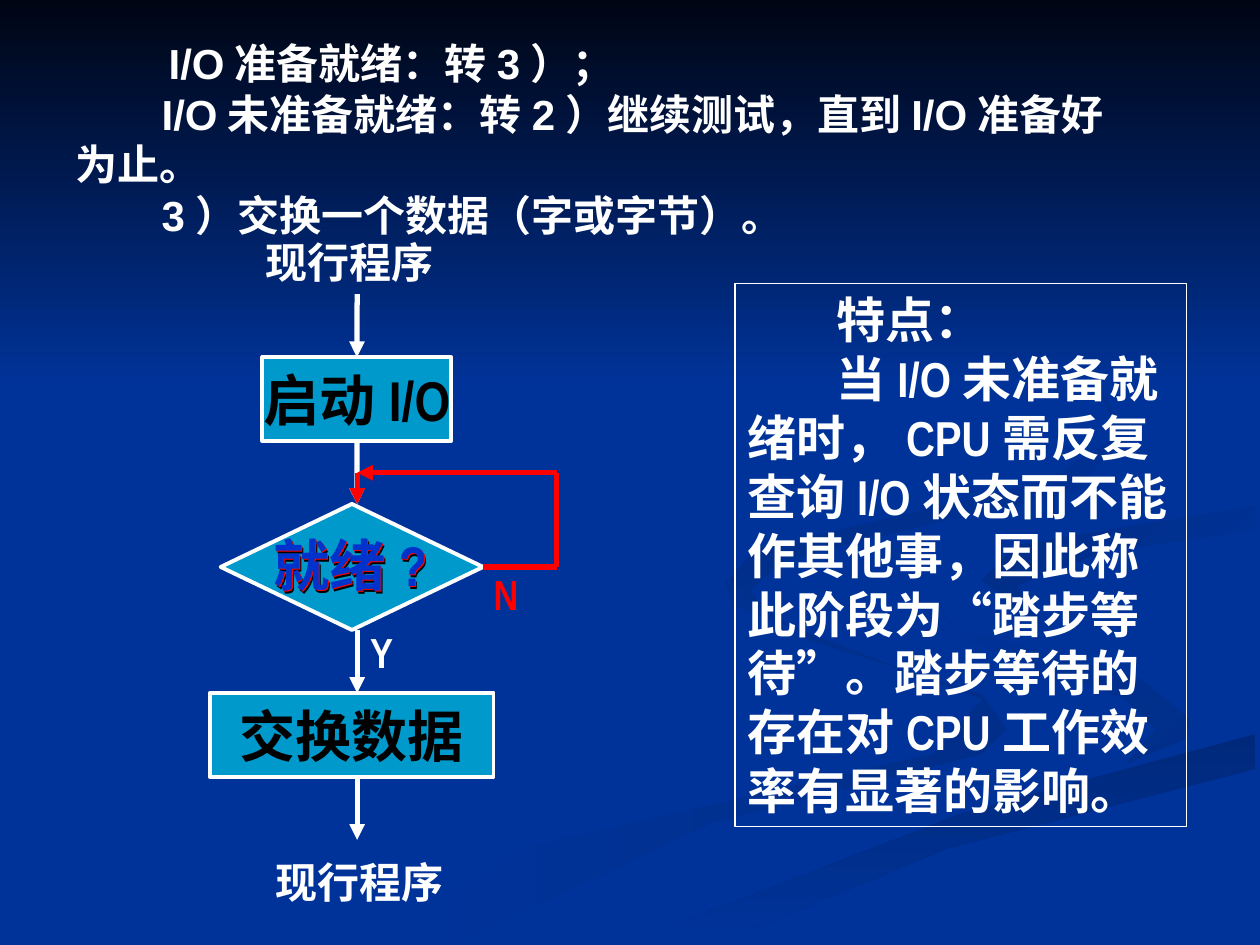
from lxml import etree
from pptx import Presentation
from pptx.dml.color import RGBColor
from pptx.enum.shapes import MSO_CONNECTOR, MSO_SHAPE
from pptx.enum.text import MSO_ANCHOR, PP_ALIGN
from pptx.oxml.ns import qn
from pptx.util import Cm, Pt

WHITE = RGBColor(0xFF, 0xFF, 0xFF)
BLACK = RGBColor(0x00, 0x00, 0x00)
RED = RGBColor(0xFF, 0x00, 0x00)
BLUE = RGBColor(0x00, 0x33, 0xCC)
TEAL = RGBColor(0x00, 0x99, 0xCC)
BACKGROUND = RGBColor(0x00, 0x33, 0x99)
NIGHT = RGBColor(0x00, 0x05, 0x14)
SHADE_1 = RGBColor(0x00, 0x2E, 0x8A)
SHADE_2 = RGBColor(0x00, 0x29, 0x7C)
SHADE_3 = RGBColor(0x00, 0x2C, 0x85)
SHADE_4 = RGBColor(0x00, 0x2B, 0x81)

prs = Presentation()
prs.slide_width, prs.slide_height = Cm(25.4), Cm(19.05)
slide = prs.slides.add_slide(prs.slide_layouts[6])
shapes = slide.shapes
slide.background.fill.solid()
slide.background.fill.fore_color.rgb = BACKGROUND


def write(shape, lines, size, color, font="Arial Narrow", indents=(), align=PP_ALIGN.LEFT):
    """Put one bold paragraph per line into shape; indents are first-line indents."""
    frame = shape.text_frame
    for i, line in enumerate(lines):
        paragraph = frame.paragraphs[0] if i == 0 else frame.add_paragraph()
        paragraph.alignment = align
        if indents:
            properties = paragraph._p.get_or_add_pPr()
            properties.set("marL", "0")
            properties.set("indent", str(indents[i]))
        run = paragraph.add_run()
        run.text = line
        run.font.name, run.font.size, run.font.bold = font, Pt(size), True
        run.font.color.rgb = color


def connect(x1, y1, x2, y2, color, arrow=True):
    line = shapes.add_connector(MSO_CONNECTOR.STRAIGHT, Cm(x1), Cm(y1), Cm(x2), Cm(y2))
    line.line.color.rgb = color
    line.line.width = Pt(3)
    etree.SubElement(line._element.spPr, qn("a:effectLst"))
    if arrow:
        etree.SubElement(line.line._get_or_add_ln(), qn("a:tailEnd"), type="triangle")
    return line


# Background ribbons: outline in millimetres, two colours, gradient angle
RIBBONS = [
    ([(198, 140), (163, 129), (146, 117), (148, 122), (198, 141), (188, 152),
      (106, 171), (76, 190), (92, 190), (143, 166), (198, 152), (203, 147)],
     SHADE_1, BACKGROUND, 180),
    ([(240, 145), (230, 137), (193, 127), (184, 118), (190, 127), (227, 141),
      (233, 147), (227, 154), (239, 149)], SHADE_1, BACKGROUND, 135),
    ([(128, 190), (145, 190), (191, 171), (253, 155), (253, 148), (194, 164), (145, 183)],
     SHADE_2, BACKGROUND, 270),
    ([(198, 117), (210, 126), (205, 118), (223, 111), (253, 107), (253, 102), (205, 110)],
     BACKGROUND, SHADE_3, 135),
    ([(173, 109), (217, 99), (227, 87), (219, 74), (194, 59), (221, 76), (225, 88),
      (211, 97), (152, 111), (147, 117), (158, 127), (151, 119), (158, 113)],
     BACKGROUND, SHADE_4, 135),
]
areas = []
for outline, first, last, angle in RIBBONS:
    builder = shapes.build_freeform(*outline[0], scale=Cm(0.1))
    builder.add_line_segments(outline[1:], close=True)
    areas.append((builder.convert_to_shape(), first, last, angle))
sky = shapes.add_shape(MSO_SHAPE.RECTANGLE, 0, 0, prs.slide_width, Cm(7.82))
areas.append((sky, NIGHT, BACKGROUND, 270))
for area, first, last, angle in areas:
    area.shadow.inherit = False
    area.line.fill.background()
    area.fill.gradient()
    area.fill.gradient_angle = angle
    for stop, color in zip(area.fill.gradient_stops, (first, last)):
        stop.color.rgb = color

# Steps above the flowchart
steps = shapes.add_textbox(Cm(1.27), Cm(0.64), Cm(22.01), Cm(4.32))
steps.text_frame.word_wrap = True
write(steps, ["I/O准备就绪：转3）；",
              "I/O未准备就绪：转2）继续测试，直到I/O准备好为止。",
              "3）交换一个数据（字或字节）。"],
      24, WHITE, "Arial", (Cm(1.88), Cm(1.74), Cm(1.74)))

# Flowchart nodes
nodes = []
for kind, label, left, top, width, height in [
    (MSO_SHAPE.FLOWCHART_PROCESS, "启动I/O", 5.29, 7.2, 3.81, 1.69),
    (MSO_SHAPE.FLOWCHART_DECISION, "就绪?", 4.45, 10.16, 5.29, 2.54),
    (MSO_SHAPE.FLOWCHART_PROCESS, "交换数据", 4.23, 13.97, 5.72, 1.69),
]:
    node = shapes.add_shape(kind, Cm(left), Cm(top), Cm(width), Cm(height))
    node.shadow.inherit = False
    node.fill.solid()
    node.fill.fore_color.rgb = TEAL
    node.line.color.rgb = WHITE
    node.line.width = Pt(2.25)
    node.text_frame.word_wrap = False
    node.text_frame.vertical_anchor = MSO_ANCHOR.MIDDLE
    write(node, [label], 32, BLACK, align=PP_ALIGN.CENTER)
    nodes.append(node)
start, ready, exchange = nodes

# Main flow downwards, then the waiting loop
AXIS, LOOP_RIGHT, LOOP_TOP, LOOP_BOTTOM = 7.2, 11.22, 9.53, 11.43
STEP = 1.27
entry, launched, tested, leaving = [
    connect(AXIS, top, AXIS, top + STEP, WHITE) for top in (5.93, 8.89, 12.7, 15.66)
]
entry.end_connect(start, 0)
launched.begin_connect(start, 2)
connect(LOOP_RIGHT, LOOP_TOP, AXIS, LOOP_TOP, RED)
connect(LOOP_RIGHT, LOOP_BOTTOM, LOOP_RIGHT, LOOP_TOP, RED, arrow=False)
connect(9.74, LOOP_BOTTOM, LOOP_RIGHT, LOOP_BOTTOM, RED, arrow=False).begin_connect(ready, 3)
connect(AXIS, LOOP_TOP, AXIS, 10.16, RED)

# Free labels; the red and blue question overlap to give a coloured edge
for label, left, top, width, height, size, color in [
    ("现行程序", 5.11, 4.65, 3.89, 1.27, 24, WHITE),
    ("现行程序", 5.31, 17.15, 3.89, 1.27, 24, WHITE),
    ("Y", 7.21, 12.5, 0.97, 1.27, 24, WHITE),
    ("N", 9.7, 11.33, 0.99, 1.27, 24, RED),
    ("就绪?", 5.28, 10.6, 3.61, 1.63, 32, RED),
    ("就绪?", 5.26, 10.58, 3.61, 1.63, 32, BLUE),
]:
    box = shapes.add_textbox(Cm(left), Cm(top), Cm(width), Cm(height))
    box.text_frame.word_wrap = False
    write(box, [label], size, color)

# Characteristics panel
features = shapes.add_shape(MSO_SHAPE.RECTANGLE, Cm(14.82), Cm(5.72), Cm(9.1), Cm(10.95))
features.shadow.inherit = False
features.fill.background()
features.line.color.rgb = WHITE
features.line.width = Pt(0.75)
features.text_frame.word_wrap = True
features.text_frame.vertical_anchor = MSO_ANCHOR.TOP
write(features, ["特点：",
                 "当I/O未准备就绪时，CPU需反复查询I/O状态而不能作其他事，"
                 "因此称此阶段为“踏步等待”。踏步等待的存在对CPU工作效率有显著的影响。"],
      28, WHITE, indents=(Cm(1.8), Cm(1.8)))

prs.save("out.pptx")
